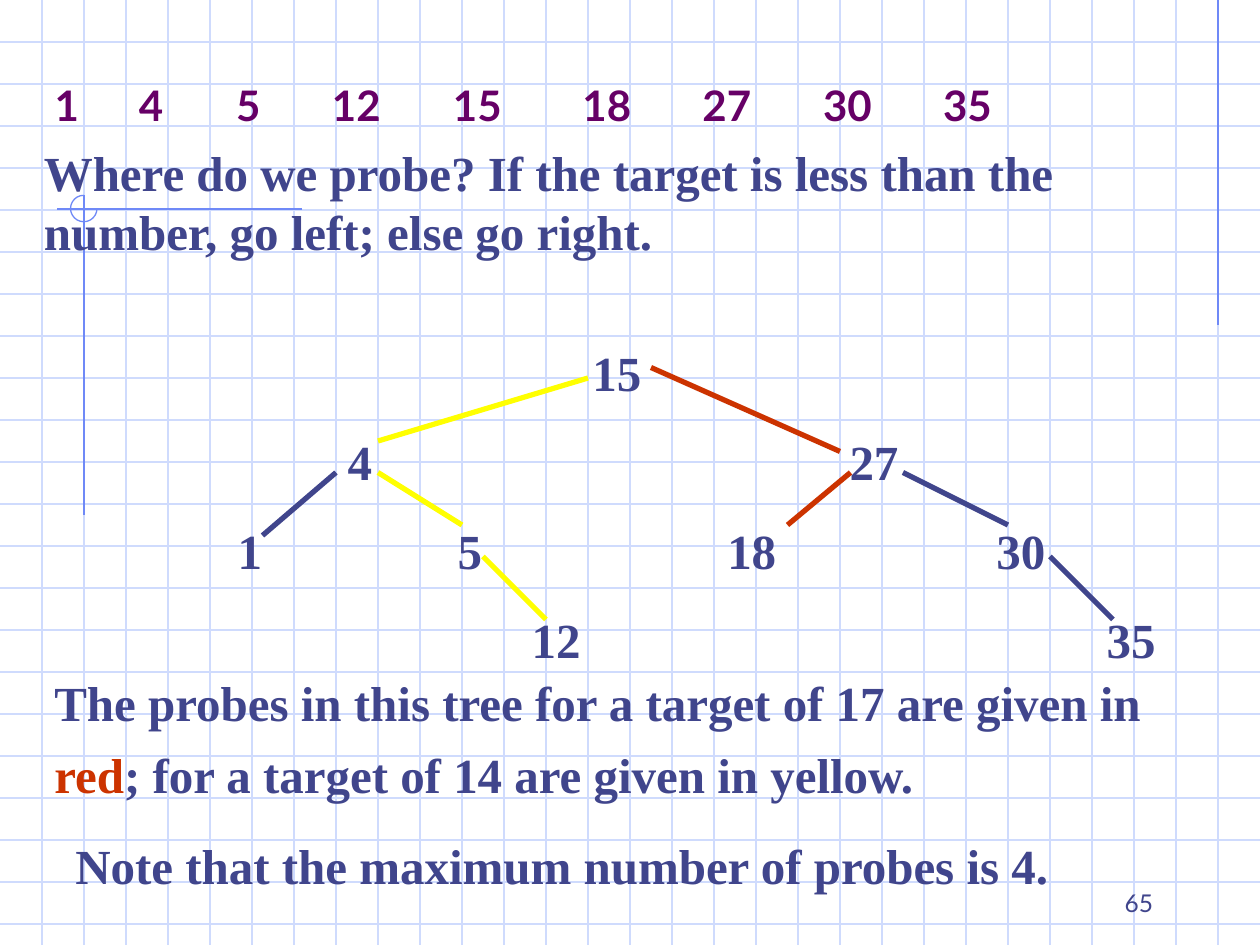
from dataclasses import dataclass
from typing import Any

import lxml.etree
import pptx
import pptx.dml.color
import pptx.enum.shapes
import pptx.enum.text
import pptx.oxml.ns
import pptx.util

COLORS = {
    "grid": "CFDBFD",
    "accent": "6F89F7",
    "text": "40458C",
    "title": "660066",
    "red": "CC3300",
    "yellow": "FFFF00",
}
CELL = 2.54 / 3
COLUMNS, ROWS = 30, 22.5
TREE_TOP, LEVEL_STEP = 8, 2.125
NODE_WIDTH, NODE_HEIGHT = 2.4, 1.7
ALIGN = pptx.enum.text.PP_ALIGN
ANCHOR = pptx.enum.text.MSO_ANCHOR
BODY = {"name": "Times New Roman", "size": pptx.util.Pt(28), "bold": True}
TITLE = {"name": "Lato", "size": pptx.util.Pt(24), "bold": True}
NUMBER = {"name": "Lato", "size": pptx.util.Pt(14), "bold": False}


@dataclass
class Line:
    x1: float
    y1: float
    x2: float
    y2: float
    color: str
    width: float = 0.75


@dataclass
class Node:
    label: str
    center: float
    level: int


@dataclass
class Note:
    x: float
    y: float
    width: float
    height: float
    paragraphs: list[list[tuple[str, str]]]
    line_spacing: float = 1.0


ACCENTS = [
    Line(29, 0, 29, 7.75, "accent"),
    Line(7.2, 4.98, 1.35, 4.98, "accent"),
    Line(2, 4.65, 2, 12.27, "accent"),
]
NODES = [
    Node("15", 14.69, 0),
    Node("4", 8.57, 1),
    Node("27", 20.81, 1),
    Node("1", 5.95, 2),
    Node("5", 11.19, 2),
    Node("18", 17.9, 2),
    Node("30", 24.31, 2),
    Node("12", 13.24, 3),
    Node("35", 26.93, 3),
]
BRANCHES = [
    Line(9, 10.5, 14, 9, "yellow", 3),
    Line(6.25, 12.75, 8, 11.25, "text", 3),
    Line(9, 11.25, 11, 12.5, "yellow", 3),
    Line(11.5, 13.25, 13, 14.75, "yellow", 3),
    Line(15.5, 8.75, 20, 10.75, "red", 3),
    Line(20.25, 11.25, 18.75, 12.5, "red", 3),
    Line(21.5, 11.25, 24, 12.5, "text", 3),
    Line(25, 13.25, 26.5, 14.75, "text", 3),
]
NOTES = [
    Note(1, 16.25, 27.25, 3, [
        [("The probes in this tree for a target of 17 are given in", "text")],
        [("red", "red"), ("; for a target of 14 are given in yellow.", "text")],
    ], 0.7),
    Note(1.5, 19.75, 25.25, 1.7, [
        [("Note that the maximum number of probes is 4.", "text")],
    ]),
    Note(0.75, 3.25, 28.25, 3.12, [
        [("Where do we probe? If the target is less than the number, "
          "go left; else go right.", "text")],
    ]),
]
TITLE_NUMBERS = ["1", "4", "5", "12", "15", "18", "27", "30", "35"]
TITLE_TABS = [1.7, 3.66, 5.59, 8.03, 10.64, 13.06, 15.49, 17.91]


def cells(count: float) -> int:
    return pptx.util.Cm(count * CELL)


def rgb(color: str) -> pptx.dml.color.RGBColor:
    return pptx.dml.color.RGBColor.from_string(COLORS[color])


def add_line(slide: Any, line: Line) -> None:
    c = slide.shapes.add_connector(
        pptx.enum.shapes.MSO_CONNECTOR.STRAIGHT,
        *(cells(v) for v in (line.x1, line.y1, line.x2, line.y2)),
    )
    c.line.color.rgb = rgb(line.color)
    c.line.width = pptx.util.Pt(line.width)
    lxml.etree.SubElement(c._element.spPr, pptx.oxml.ns.qn("a:effectLst"))


def add_run(p: Any, text: str, color: str, style: dict[str, Any]) -> None:
    r = p.add_run()
    r.text = text
    for key, value in style.items():
        setattr(r.font, key, value)
    r.font.color.rgb = rgb(color)


def add_box(slide: Any, x: float, y: float, width: float, height: float) -> Any:
    sp = slide.shapes.add_textbox(*(cells(v) for v in (x, y, width, height)))
    sp.text_frame.word_wrap = True
    return sp.text_frame


def add_node(slide: Any, node: Node) -> None:
    tf = add_box(slide, node.center - NODE_WIDTH / 2,
                 TREE_TOP + node.level * LEVEL_STEP, NODE_WIDTH, NODE_HEIGHT)
    p = tf.paragraphs[0]
    p.alignment = ALIGN.CENTER
    add_run(p, node.label, "text", BODY)


def add_note(slide: Any, note: Note) -> None:
    tf = add_box(slide, note.x, note.y, note.width, note.height)
    for i, runs in enumerate(note.paragraphs):
        p = tf.add_paragraph() if i else tf.paragraphs[0]
        p.line_spacing = note.line_spacing
        if i:
            p.space_before = pptx.util.Pt(17.5)
        for text, color in runs:
            add_run(p, text, color, BODY)


def add_background(slide: Any) -> None:
    for row in range(1, int(ROWS) + 1):
        add_line(slide, Line(0, row, COLUMNS, row, "grid"))
    for column in range(1, COLUMNS):
        add_line(slide, Line(column, 0, column, ROWS, "grid"))
    for line in ACCENTS:
        add_line(slide, line)
    arc = slide.shapes.add_shape(
        pptx.enum.shapes.MSO_SHAPE.ARC,
        *(cells(v) for v in (1.68, 4.65, 0.63, 0.63)),
    )
    arc.adjustments[0] = 0
    arc.adjustments[1] = 162
    arc.shadow.inherit = False
    arc.fill.background()
    arc.line.color.rgb = rgb("accent")
    arc.line.width = pptx.util.Pt(0.75)


def format_title(slide: Any) -> None:
    sp = slide.shapes.title
    slide.shapes._spTree.append(sp._element)
    box = {"left": 1, "top": 0.75, "width": 27.5, "height": 2.5}
    for key, value in box.items():
        setattr(sp, key, cells(value))
    tf = sp.text_frame
    tf.auto_size = pptx.enum.text.MSO_AUTO_SIZE.NONE
    tf.vertical_anchor = ANCHOR.BOTTOM
    p = tf.paragraphs[0]
    p.alignment = ALIGN.LEFT
    tabs = lxml.etree.SubElement(p._p.get_or_add_pPr(), pptx.oxml.ns.qn("a:tabLst"))
    for position in TITLE_TABS:
        lxml.etree.SubElement(tabs, pptx.oxml.ns.qn("a:tab"),
                              pos=str(pptx.util.Cm(position)), algn="l")
    add_run(p, "\t".join(TITLE_NUMBERS), "title", TITLE)


def add_slide_number(slide: Any) -> None:
    tf = add_box(slide, 21.5, 20.5, 6.25, 1.5)
    tf.vertical_anchor = ANCHOR.BOTTOM
    p = tf.paragraphs[0]
    p.alignment = ALIGN.RIGHT
    add_run(p, "65", "text", NUMBER)


def main() -> None:
    prs = pptx.Presentation()
    prs.slide_width, prs.slide_height = cells(COLUMNS), cells(ROWS)
    s = prs.slides.add_slide(prs.slide_layouts[5])
    add_background(s)
    format_title(s)
    for node in NODES:
        add_node(s, node)
    for branch in BRANCHES:
        add_line(s, branch)
    for note in NOTES:
        add_note(s, note)
    add_slide_number(s)
    prs.save("out.pptx")


if __name__ == "__main__":
    main()
